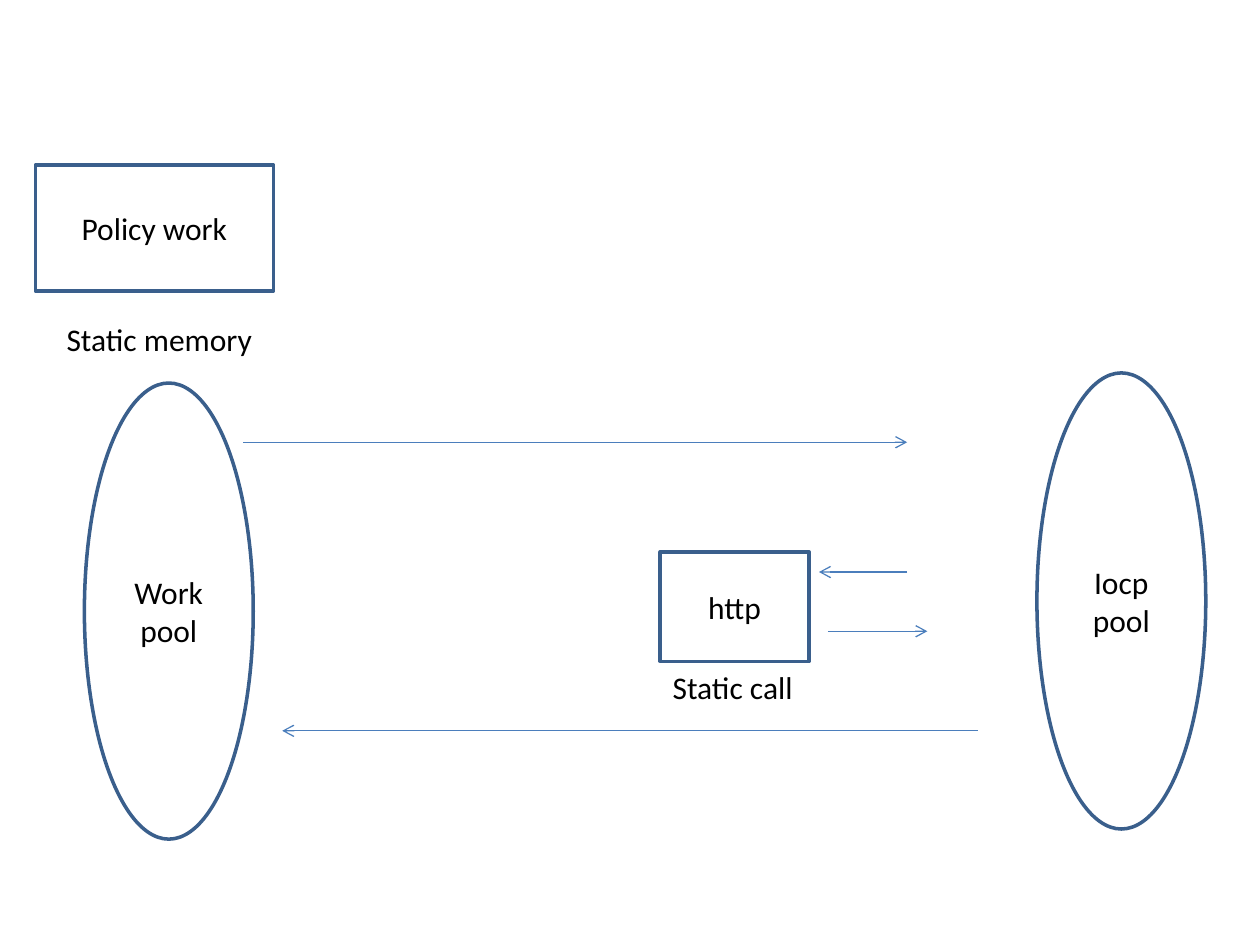
from dataclasses import dataclass

from lxml import etree
from pptx import Presentation
from pptx import util as u
from pptx.dml.color import RGBColor
from pptx.enum import shapes, text
from pptx.oxml import ns


@dataclass(frozen=True)
class Theme:
    ink: RGBColor = RGBColor(0x00, 0x00, 0x00)
    outline: RGBColor = RGBColor(0x3A, 0x5F, 0x8C)
    arrow: RGBColor = RGBColor(0x4B, 0x7E, 0xBC)
    font: str = "Calibri"
    size: u.Pt = u.Pt(18)
    outline_width: u.Pt = u.Pt(2)
    arrow_width: u.Pt = u.Pt(0.75)


THEME = Theme()
RECTANGLE = shapes.MSO_SHAPE.RECTANGLE
ELLIPSE = shapes.MSO_SHAPE.OVAL


def inches(*lengths):
    return [u.Inches(length) for length in lengths]


def write(frame, wording, align):
    frame.text = wording
    for para in frame.paragraphs:
        para.alignment = align
        for span in para.runs:
            span.font.name = THEME.font
            span.font.size = THEME.size
            span.font.color.rgb = THEME.ink


def add_node(page, kind, box, wording):
    node = page.shapes.add_shape(kind, *inches(*box))
    node.shadow.inherit = False
    node.fill.background()
    node.line.color.rgb = THEME.outline
    node.line.width = THEME.outline_width
    node.text_frame.vertical_anchor = text.MSO_ANCHOR.MIDDLE
    write(node.text_frame, wording, text.PP_ALIGN.CENTER)


def add_label(page, box, wording):
    label = page.shapes.add_textbox(*inches(*box))
    label.text_frame.word_wrap = False
    label.text_frame.auto_size = text.MSO_AUTO_SIZE.SHAPE_TO_FIT_TEXT
    write(label.text_frame, wording, text.PP_ALIGN.LEFT)


def add_arrow(page, start, end, y):
    arrow = page.shapes.add_connector(
        shapes.MSO_CONNECTOR.STRAIGHT, *inches(start, y, end, y)
    )
    arrow.line.color.rgb = THEME.arrow
    arrow.line.width = THEME.arrow_width
    outline = arrow.line._get_or_add_ln()
    etree.SubElement(outline, ns.qn("a:tailEnd"), type="arrow")
    etree.SubElement(arrow._element.spPr, ns.qn("a:effectLst"))


def add_policy(page, box):
    left, top, width, height = box
    add_node(page, RECTANGLE, box, "Policy work")
    add_label(page, (left + 0.15, top + height + 0.18, 1.69, 0.4), "Static memory")


def add_pool(page, box, name):
    add_node(page, ELLIPSE, box, f"{name}\npool")


def add_http(page, box):
    left, top, width, height = box
    right = left + width
    add_node(page, RECTANGLE, box, "http")
    add_label(page, (left, top + height, 1.17, 0.4), "Static call")
    add_arrow(page, right + 0.78, right + 0.08, top + 0.16)
    add_arrow(page, right + 0.15, right + 0.94, top + 0.63)


def add_exchange(page, box):
    left, top, width, height = box
    add_arrow(page, left, left + 5.27, top)
    add_arrow(page, left + width, left + 0.31, top + height)


def main():
    deck = Presentation()
    deck.slide_width, deck.slide_height = inches(10, 7.5)
    page = deck.slides.add_slide(deck.slide_layouts.get_by_name("Blank"))
    add_policy(page, (0.28, 1.31, 1.89, 1))
    add_pool(page, (0.67, 3.04, 1.34, 3.62), "Work")
    add_pool(page, (8.23, 2.96, 1.34, 3.62), "Iocp")
    add_http(page, (5.24, 4.38, 1.18, 0.87))
    add_exchange(page, (1.93, 3.51, 5.83, 2.29))
    deck.save("out.pptx")


if __name__ == "__main__":
    main()
